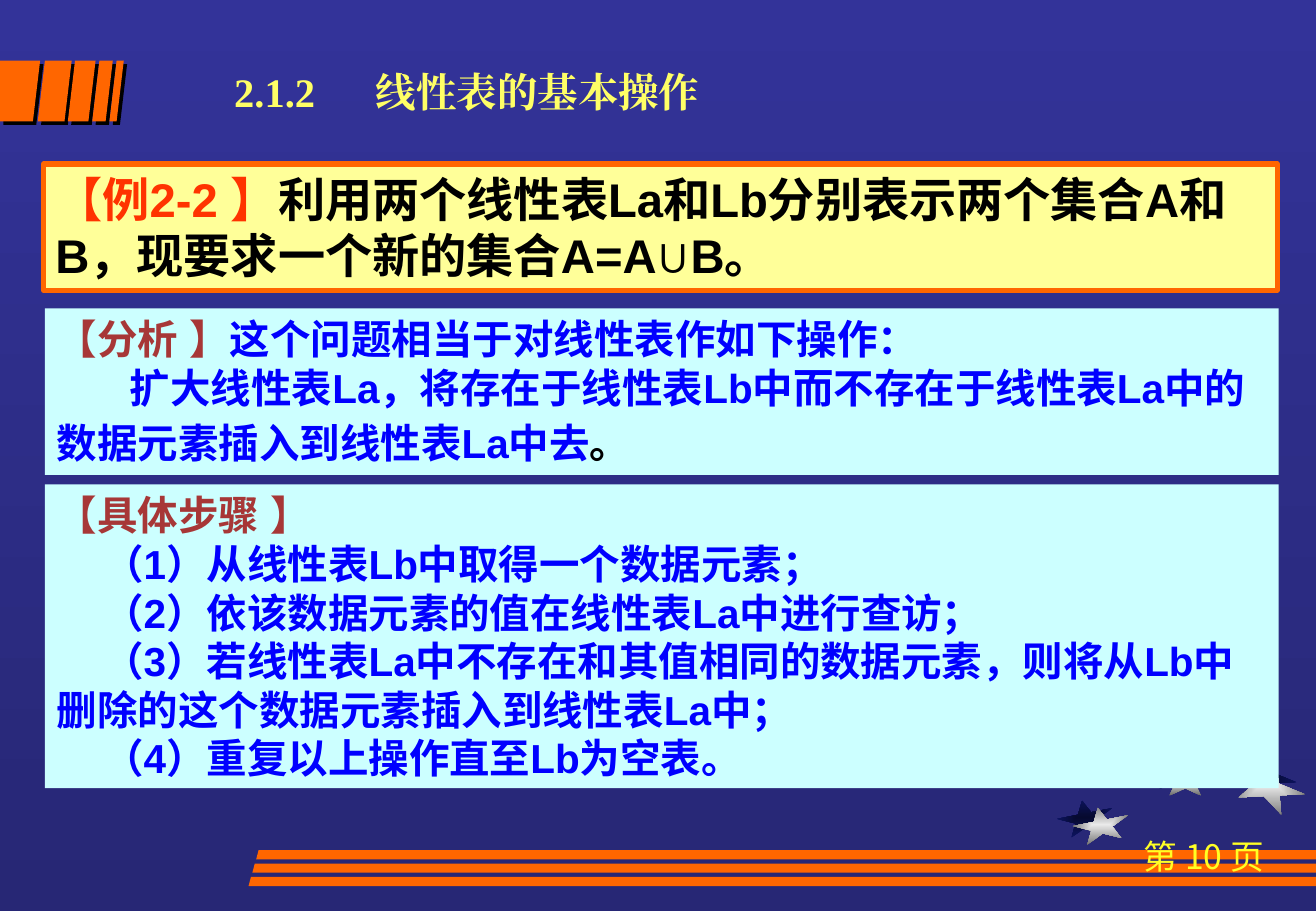
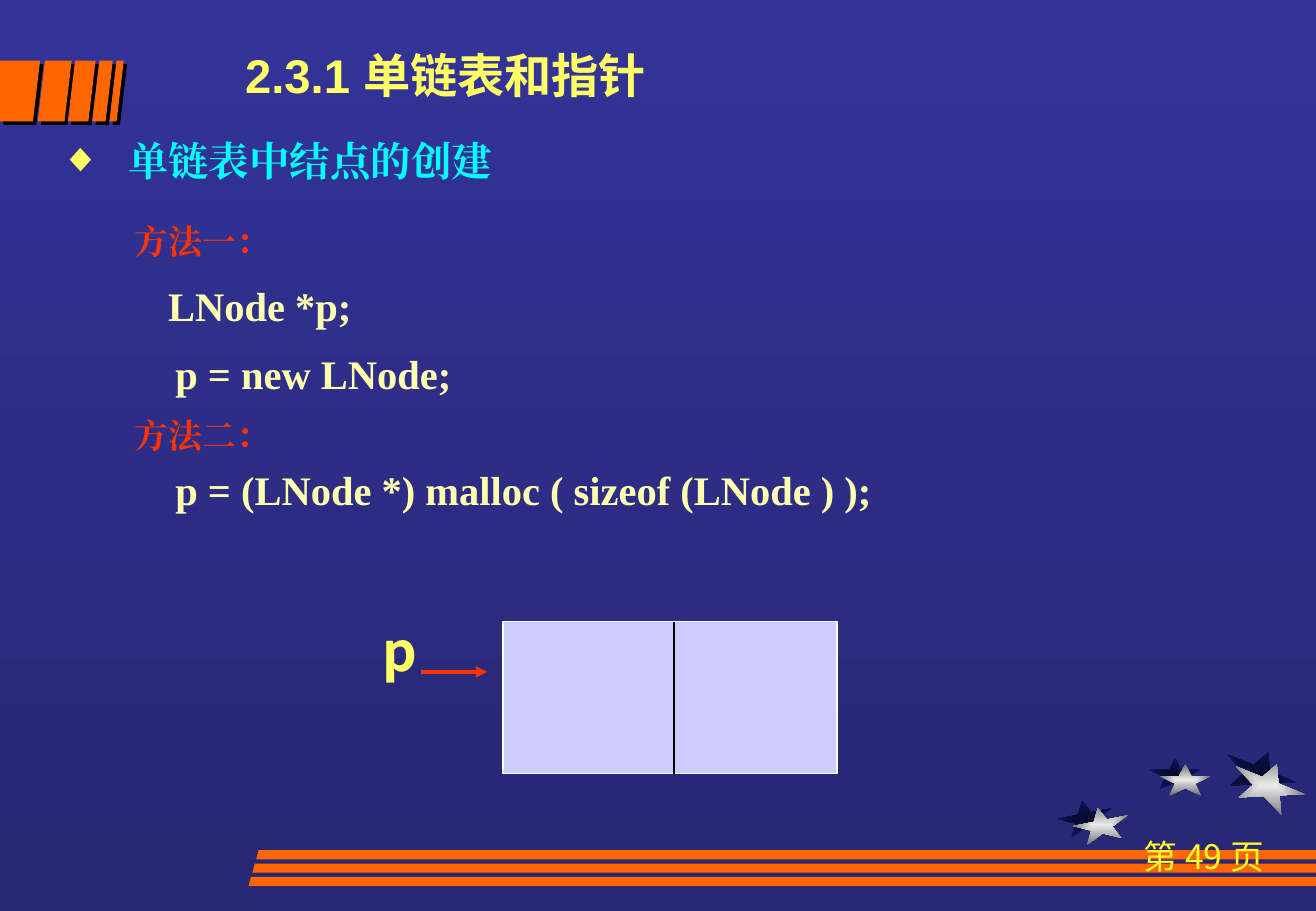
"""Build two lecture slides on linear lists and linked-list nodes."""
import dataclasses
import typing

import lxml.etree
import pptx
import pptx.dml.color
import pptx.enum.dml
import pptx.enum.shapes
import pptx.enum.text
import pptx.oxml.ns
import pptx.util

Cm = pptx.util.Cm
Pt = pptx.util.Pt
qn = pptx.oxml.ns.qn
SHAPE = pptx.enum.shapes.MSO_SHAPE


@dataclasses.dataclass(frozen=True)
class Theme:
    bg: tuple[str, str] = ("333399", "272775")
    star_dark: tuple[str, str] = ("060A2F", "0D1565")
    star_light: tuple[str, str] = ("EAEAEA", "6C6C6C")
    orange: str = "FF6600"
    title: str = "FFFF66"
    page: str = "FFFF25"
    cream: str = "FFFF99"
    aqua: str = "CCFFFF"
    red: str = "FF3300"
    brown: str = "A73737"
    blue: str = "0000FF"
    code: str = "FFFFAF"
    cyan: str = "00FFFF"
    node: str = "CCCCFF"
    black: str = "000000"
    white: str = "FFFFFF"
    sans: str = "Arial"
    serif: str = "Times New Roman"
    cjk: str = "Noto Sans CJK SC"
    small: int = 20
    body: int = 24
    large: int = 28
    label: int = 32


T = Theme()


class Box(typing.NamedTuple):
    x: float
    y: float
    w: float
    h: float

    def emu(self) -> list[int]:
        return [Cm(v) for v in self]


class Star(typing.NamedTuple):
    box: Box
    rot: float
    colors: tuple[str, str]


class Run(typing.NamedTuple):
    text: str
    color: str
    size: int = T.body


@dataclasses.dataclass(frozen=True)
class Para:
    runs: tuple[Run, ...]
    indent: float = 0
    before: float = 0
    spacing: float | None = None
    tab: float | None = None
    bullet: str | None = None
    center: bool = False


STARS = (
    Star(Box(22.12, 16.74, 1.17, 0.71), 349, T.star_dark),
    Star(Box(24.05, 15.85, 1.07, 0.66), 0, T.star_dark),
    Star(Box(25.58, 15.7, 1.55, 0.94), 22, T.star_dark),
    Star(Box(22.45, 16.89, 1.17, 0.71), 349, T.star_light),
    Star(Box(24.26, 15.98, 1.07, 0.66), 0, T.star_light),
    Star(Box(25.76, 15.95, 1.55, 0.94), 22, T.star_light),
)
BARS = ((0, 0.69), (0.79, 1.35), (1.42, 1.85), (1.93, 2.21), (2.29, 2.44))
WIDTH = 27.53


def rgb(color: str) -> pptx.dml.color.RGBColor:
    return pptx.dml.color.RGBColor.from_string(color)


def sub(parent, tag: str, **attrs):
    return lxml.etree.SubElement(parent, qn(tag), attrs)


def gradient(fill, colors: tuple[str, str], angle: float = 0) -> None:
    fill.gradient()
    fill.gradient_angle = angle
    for i, (stop, color) in enumerate(zip(fill.gradient_stops, colors)):
        stop.color.rgb = rgb(color)
        stop.position = i


def paint(sp, fill: str | None, line: str | None = None, width: float = 1) -> None:
    sp.shadow.inherit = False
    if fill:
        sp.fill.solid()
        sp.fill.fore_color.rgb = rgb(fill)
    if line:
        sp.line.color.rgb = rgb(line)
        sp.line.width = Pt(width)
    else:
        sp.line.fill.background()


def rect(s, box: Box, fill: str, line: str | None = None, width: float = 1):
    sp = s.shapes.add_shape(SHAPE.RECTANGLE, *box.emu())
    paint(sp, fill, line, width)
    return sp


def outline(s, points: list[tuple[float, float]], fill: str):
    start, *rest = [(Cm(x), Cm(y)) for x, y in points]
    fb = s.shapes.build_freeform(*start)
    fb.add_line_segments(rest)
    sp = fb.convert_to_shape()
    paint(sp, fill)
    return sp


def line(s, x1: float, y1: float, x2: float, y2: float, color: str,
         width: float = 1, arrow: bool = False) -> None:
    straight = pptx.enum.shapes.MSO_CONNECTOR.STRAIGHT
    c = s.shapes.add_connector(straight, Cm(x1), Cm(y1), Cm(x2), Cm(y2))
    c.line.color.rgb = rgb(color)
    c.line.width = Pt(width)
    if arrow:
        sub(c.line._get_or_add_ln(), "a:tailEnd", type="triangle")
    sub(c._element.spPr, "a:effectLst")


def add_run(p, text: str, *, size: int, color: str, font: str, bold: bool) -> None:
    r = p.add_run()
    r.text = text
    r.font.size = Pt(size)
    r.font.bold = bold
    r.font.color.rgb = rgb(color)
    r.font.name = font
    sub(r._r.get_or_add_rPr(), "a:ea", typeface=font)


def write(sp, paras: list[Para], font: str, bold: bool = True) -> None:
    tf = sp.text_frame
    tf.word_wrap = True
    tf.vertical_anchor = pptx.enum.text.MSO_ANCHOR.TOP
    align = pptx.enum.text.PP_ALIGN
    for i, para in enumerate(paras):
        p = tf.add_paragraph() if i else tf.paragraphs[0]
        p.alignment = align.CENTER if para.center else align.LEFT
        p.space_before = Pt(para.before)
        if para.spacing:
            p.line_spacing = para.spacing
        pPr = p._p.get_or_add_pPr()
        if para.bullet:
            pPr.set("marL", str(Cm(para.indent)))
            pPr.set("indent", str(-Cm(para.indent)))
            sub(sub(pPr, "a:buClr"), "a:srgbClr", val=para.bullet)
            sub(pPr, "a:buFont", typeface=font)
            sub(pPr, "a:buChar", char="◆")
        elif para.indent:
            pPr.set("indent", str(Cm(para.indent)))
        if para.tab:
            sub(sub(pPr, "a:tabLst"), "a:tab", pos=str(Cm(para.tab)), algn="l")
        for r in para.runs:
            add_run(p, r.text, size=r.size, color=r.color, font=font, bold=bold)


def textbox(s, box: Box, paras: list[Para], font: str, bold: bool = True) -> None:
    write(s.shapes.add_textbox(*box.emu()), paras, font, bold)


def one(text: str, color: str, size: int = T.body, **fmt) -> Para:
    return Para((Run(text, color, size),), **fmt)


def decorate(s, page: int) -> None:
    for star in STARS:
        sp = s.shapes.add_shape(SHAPE.STAR_5_POINT, *star.box.emu())
        paint(sp, None)
        gradient(sp.fill, star.colors)
        sp.rotation = star.rot
        grad = sp._element.spPr.find(qn("a:gradFill"))
        grad.remove(grad.find(qn("a:lin")))
        centre = dict.fromkeys("ltrb", "50000")
        sub(sub(grad, "a:path", path="rect"), "a:fillToRect", **centre)
    for x1, x2 in BARS:
        top = x1 + 0.15 if x1 else 0
        sp = outline(s, [(top, 1.27), (x2 + 0.15, 1.27), (x2, 2.54), (x1, 2.54)],
                     T.orange)
        shadow = sub(sp._element.spPr.find(qn("a:effectLst")), "a:outerShdw",
                     dist=str(Pt(2.8)), dir="2700000", algn="ctr", rotWithShape="0")
        sub(shadow, "a:srgbClr", val=T.black)
    for i in range(3):
        x, y = 5.36 - 0.08 * i, 17.78 + 0.28 * i
        outline(s, [(x, y + 0.19), (WIDTH, y + 0.19), (WIDTH, y), (x + 0.05, y)],
                T.orange)
    textbox(s, Box(22.86, 17.35, 4.65, 1.3),
            [one(f"第 {page} 页", T.page, T.small, center=True)], T.cjk, False)


def example_slide(s) -> None:
    textbox(s, Box(4.65, 1.27, 15.24, 1.47),
            [one("2.1.2\t线性表的基本操作", T.title, tab=2.96)], T.serif)
    example = [Para((
        Run("【例2-2 】", T.red, T.large),
        Run("利用两个线性表La和Lb分别表示两个集合A和B，现要求一个新的集合A=A∪B。",
            T.black, T.large)))]
    analysis = [
        Para((Run("【分析 】", T.brown),
              Run("这个问题相当于对线性表作如下操作：", T.blue))),
        Para((Run("扩大线性表La，将存在于线性表Lb中而不存在于线性表La中"
                  "的数据元素插入到线性表La中去", T.blue),
              Run("。", T.black), Run(" ", T.blue, T.large)), indent=1.53),
    ]
    steps = ("从线性表Lb中取得一个数据元素；",
             "依该数据元素的值在线性表La中进行查访；",
             "若线性表La中不存在和其值相同的数据元素，则将从Lb"
             "中删除的这个数据元素插入到线性表La中；",
             "重复以上操作直至Lb为空表。")
    procedure = [one("【具体步骤 】", T.brown)]
    procedure += [one(f"（{i}）{step}", T.blue, indent=0.97)
                  for i, step in enumerate(steps, 1)]
    write(rect(s, Box(0.91, 3.43, 25.81, 2.64), T.cream, T.orange, 3), example, T.sans)
    write(rect(s, Box(0.94, 6.45, 25.81, 3.48), T.aqua), analysis, T.sans)
    write(rect(s, Box(0.94, 10.13, 25.81, 6.35), T.aqua), procedure, T.sans)


def node_slide(s) -> None:
    textbox(s, Box(4.88, 0.84, 17.98, 1.7),
            [one("2.3.1 单链表和指针", T.title, T.large)], T.sans)
    textbox(s, Box(2.57, 4.32, 22.61, 6.55), [
        one("方法一：", T.red, T.small, spacing=1.2),
        one("LNode *p;", T.code, indent=0.7, before=6, spacing=1.2),
        one("p = new LNode;", T.code, indent=0.85, before=6, spacing=1.2),
        one("方法二：", T.red, T.small, before=5, spacing=1.2),
        one("p = (LNode *) malloc ( sizeof (LNode ) );", T.code, indent=0.85,
            spacing=1.2),
    ], T.serif)
    textbox(s, Box(1.02, 2.72, 22.86, 1.27),
            [one("单链表中结点的创建", T.cyan, indent=1.41, bullet=T.title)], T.serif)
    textbox(s, Box(7.75, 12.78, 1.93, 1.63), [one("p", T.title, T.label)], T.cjk)
    line(s, 8.81, 14.05, 10.19, 14.05, T.red, 2.25, arrow=True)
    rect(s, Box(10.52, 13, 6.99, 3.18), T.node, T.white)
    line(s, 14.1, 13, 14.1, 16.18, T.black)


def main() -> None:
    prs = pptx.Presentation()
    prs.slide_width, prs.slide_height = Cm(WIDTH), Cm(19.05)
    gradient(prs.slide_master.background.fill, T.bg, 270)
    for page, build in ((10, example_slide), (49, node_slide)):
        s = prs.slides.add_slide(prs.slide_layouts[6])
        decorate(s, page)
        build(s)
    prs.save("out.pptx")


if __name__ == "__main__":
    main()
